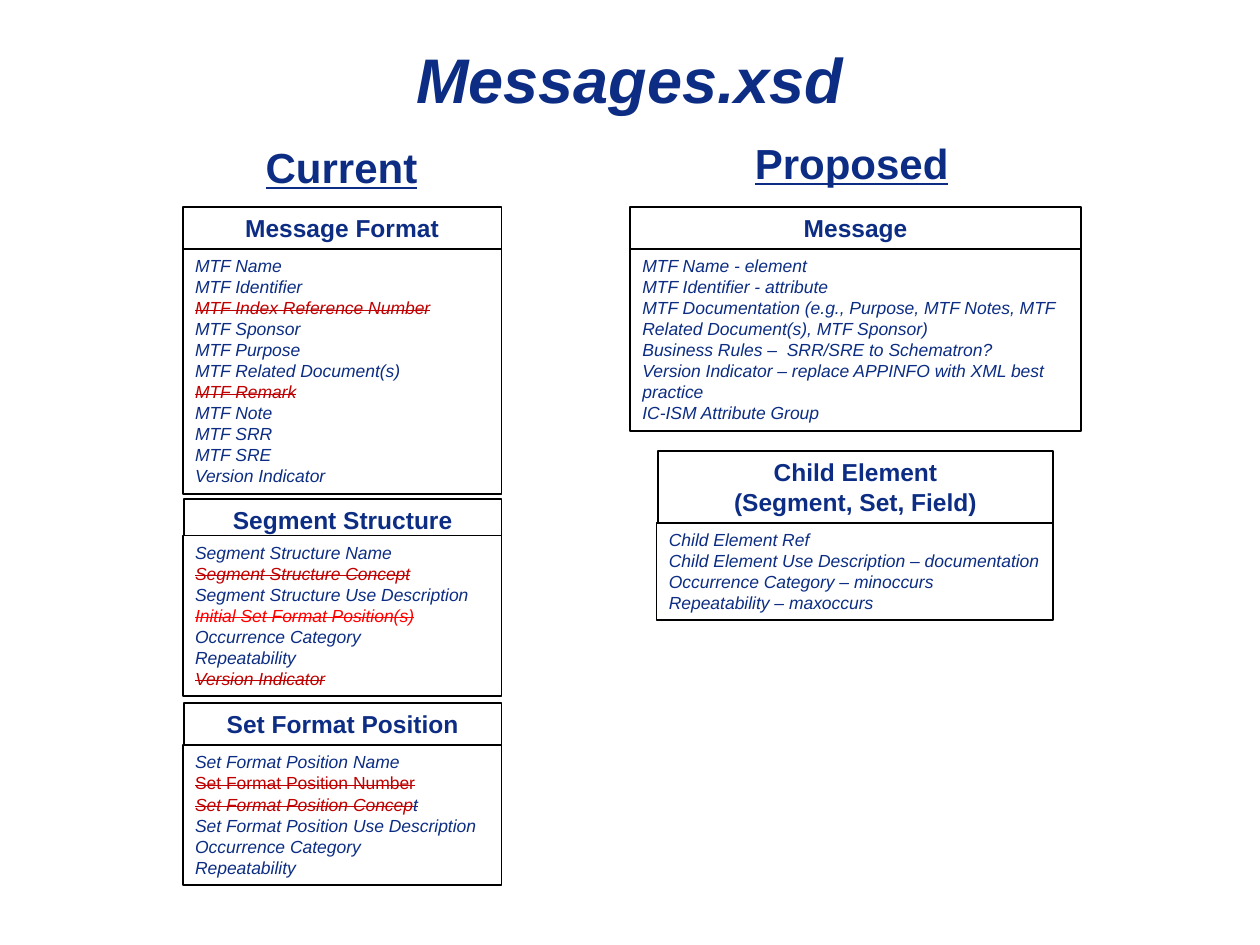
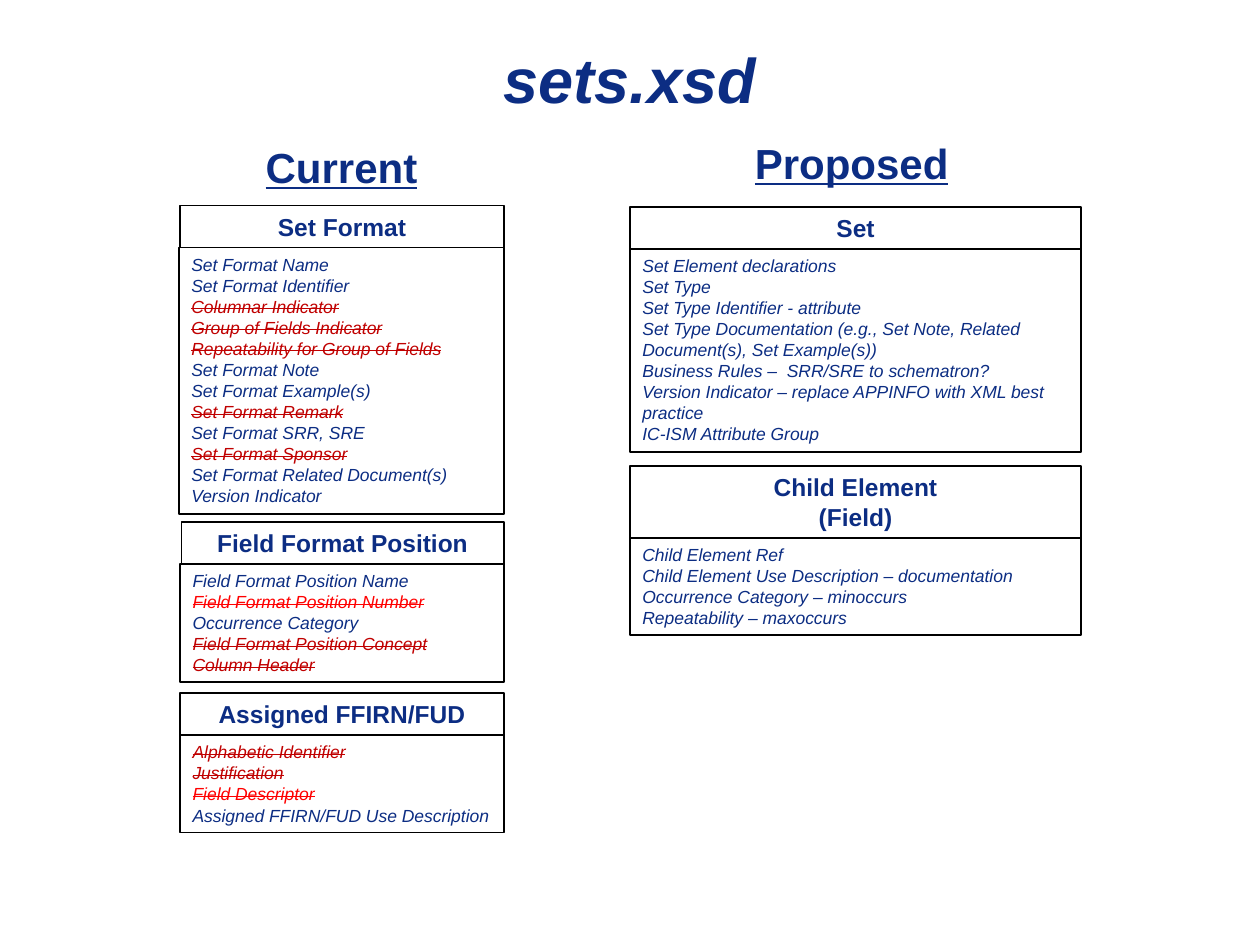
"""Build two slides that set current schema structures beside the proposed ones."""
from pptx import Presentation
from pptx.dml.color import RGBColor
from pptx.enum.shapes import MSO_SHAPE
from pptx.enum.text import MSO_ANCHOR, MSO_AUTO_SIZE, PP_ALIGN
from pptx.util import Inches, Pt

RECTANGLE = MSO_SHAPE.RECTANGLE
TOP, MIDDLE = MSO_ANCHOR.TOP, MSO_ANCHOR.MIDDLE
LEFT, CENTER = PP_ALIGN.LEFT, PP_ALIGN.CENTER
NO_AUTOFIT = MSO_AUTO_SIZE.NONE

NAVY = RGBColor(0x0C, 0x2D, 0x83)
DARK_RED = RGBColor(0xC0, 0x00, 0x00)
RED = RGBColor(0xFF, 0x00, 0x00)
BLACK = RGBColor(0x00, 0x00, 0x00)


def text_style(size, color=NAVY, strike=False, **font):
    """Return the format values of a text style."""
    return {"strike": strike, "color": color,
            "font": {"name": "Arial", "size": Pt(size), **font}}


THEME = {
    "title": text_style(36, bold=True, italic=True),
    "column": text_style(24, bold=True, underline=True),
    "header": text_style(14, bold=True),
    "keep": text_style(10, italic=True),
    "drop": text_style(10, DARK_RED, True, italic=True),
    "drop_bright": text_style(10, RED, True, italic=True),
    "drop_upright": text_style(10, DARK_RED, True, italic=False),
    "drop_navy": text_style(10, NAVY, True, italic=True),
}
TITLE_BOX = (0.5, 0.07, 9, 1.1)
COLUMN_HEADINGS = [("Current", (0.5, 0.97, 4.42, 0.7)),
                   ("Proposed", (4.55, 0.94, 4.42, 0.7))]
PADDING = 0.1
HEADER_LINE, BODY_LINE = 0.235, 0.168

CHILD_ITEMS = ["Child Element Ref",
               "Child Element Use Description – documentation",
               "Occurrence Category – minoccurs",
               "Repeatability – maxoccurs"]
SHARED_ITEMS = ["Version Indicator – replace APPINFO with XML best practice",
                "IC-ISM Attribute Group"]

SLIDES = [
    {"title": "Messages.xsd", "cards": [
        {"header": ["Message Format"], "place": (1.45, 1.64, 2.53), "items": [
            "MTF Name",
            "MTF Identifier",
            ("MTF Index Reference Number", "drop"),
            "MTF Sponsor",
            "MTF Purpose",
            "MTF Related Document(s)",
            ("MTF Remark", "drop"),
            "MTF Note",
            "MTF SRR",
            "MTF SRE",
            "Version Indicator"]},
        {"header": ["Segment Structure"], "place": (1.45, 3.96, 2.53),
         "inset": 0.01, "header_height": 0.29, "items": [
             "Segment Structure Name",
             ("Segment Structure Concept", "drop"),
             "Segment Structure Use Description",
             ("Initial Set Format Position(s)", "drop_bright"),
             "Occurrence Category",
             "Repeatability",
             ("Version Indicator", "drop")]},
        {"header": ["Set Format Position"], "place": (1.45, 5.58, 2.53),
         "inset": 0.01, "items": [
             "Set Format Position Name",
             ("Set Format Position Number", "drop_upright"),
             [("Set Format Position Concep", "drop"), ("t", "drop_navy")],
             "Set Format Position Use Description",
             "Occurrence Category",
             "Repeatability"]},
        {"header": ["Message"], "place": (5, 1.64, 3.58), "wraps": 2, "items": [
            "MTF Name - element",
            "MTF Identifier - attribute",
            "MTF Documentation (e.g., Purpose, MTF Notes, MTF Related "
            "Document(s), MTF Sponsor)",
            "Business Rules –  SRR/SRE to Schematron?",
            *SHARED_ITEMS]},
        {"header": ["Child Element", "(Segment, Set, Field)"],
         "place": (5.21, 3.58, 3.15), "inset": 0.01, "items": CHILD_ITEMS},
    ]},
    {"title": "sets.xsd", "cards": [
        {"header": ["Set Format"], "place": (1.42, 1.63, 2.58),
         "inset": 0.01, "items": [
             "Set Format Name",
             "Set Format Identifier",
             ("Columnar Indicator", "drop"),
             ("Group of Fields Indicator", "drop"),
             ("Repeatability for Group of Fields", "drop"),
             "Set Format Note",
             "Set Format Example(s)",
             ("Set Format Remark", "drop"),
             "Set Format SRR, SRE",
             ("Set Format Sponsor", "drop"),
             "Set Format Related Document(s)",
             "Version Indicator"]},
        {"header": ["Field Format Position"], "place": (1.43, 4.14, 2.57),
         "inset": 0.01, "items": [
             "Field Format Position Name",
             ("Field Format Position Number", "drop_bright"),
             "Occurrence Category",
             ("Field Format Position Concept", "drop"),
             ("Column Header", "drop")]},
        {"header": ["Assigned FFIRN/FUD"], "place": (1.43, 5.5, 2.57), "items": [
            ("Alphabetic Identifier", "drop"),
            ("Justification", "drop"),
            ("Field Descriptor", "drop_bright"),
            "Assigned FFIRN/FUD Use Description"]},
        {"header": ["Set"], "place": (5, 1.64, 3.58), "wraps": 2, "items": [
            "Set Element declarations",
            "Set Type",
            "Set Type Identifier - attribute",
            "Set Type Documentation (e.g., Set Note, Related Document(s), "
            "Set Example(s))",
            "Business Rules –  SRR/SRE to schematron?",
            *SHARED_ITEMS]},
        {"header": ["Child Element", "(Field)"], "place": (5, 3.7, 3.58),
         "items": CHILD_ITEMS},
    ]},
]


def as_runs(line, default_style):
    """Turn a line of content into a list of text and style pairs."""
    if isinstance(line, str):
        return [(line, default_style)]
    return [line] if isinstance(line, tuple) else line


def write_text(shape, lines, default_style, alignment, anchor):
    """Fill a shape with one paragraph per line."""
    frame = shape.text_frame
    frame_format = {
        "word_wrap": True, "auto_size": NO_AUTOFIT, "vertical_anchor": anchor,
        "margin_left": Inches(0.1), "margin_right": Inches(0.1),
        "margin_top": Inches(0.05), "margin_bottom": Inches(0.05)}
    for name, value in frame_format.items():
        setattr(frame, name, value)
    for index, line in enumerate(lines):
        paragraph = frame.add_paragraph() if index else frame.paragraphs[0]
        paragraph.alignment = alignment
        for text, style_name in as_runs(line, default_style):
            style = THEME[style_name]
            run = paragraph.add_run()
            run.text = text
            for name, value in style["font"].items():
                setattr(run.font, name, value)
            run.font.color.rgb = style["color"]
            if style["strike"]:
                run.font._element.set("strike", "sngStrike")


def add_box(slide, box):
    """Add an unfilled rectangle with a thin black outline."""
    shape = slide.shapes.add_shape(RECTANGLE, *map(Inches, box))
    shape.shadow.inherit = False
    shape.fill.background()
    shape.line.color.rgb = BLACK
    shape.line.width = Pt(1)
    return shape


def add_card(slide, card):
    """Add a header box and the list box that hangs below it."""
    left, top, width = card["place"]
    inset = card.get("inset", 0)
    header_height = card.get(
        "header_height", PADDING + HEADER_LINE * len(card["header"]))
    line_count = len(card["items"]) + card.get("wraps", 0)
    body_height = PADDING + BODY_LINE * line_count
    header = add_box(slide, (left + inset, top, width - inset, header_height))
    write_text(header, card["header"], "header", CENTER, TOP)
    body = add_box(slide, (left, top + header_height, width, body_height))
    write_text(body, card["items"], "keep", LEFT, TOP)


def add_title(slide, text):
    """Place and fill the title placeholder."""
    title = slide.shapes.title
    names = ("left", "top", "width", "height")
    for name, value in zip(names, TITLE_BOX):
        setattr(title, name, Inches(value))
    write_text(title, [text], "title", CENTER, MIDDLE)


def add_column_headings(slide):
    """Add the underlined headings of both columns."""
    for text, box in COLUMN_HEADINGS:
        heading = slide.shapes.add_textbox(*map(Inches, box))
        write_text(heading, [text], "column", CENTER, MIDDLE)


def main():
    """Build and save the presentation."""
    presentation = Presentation()
    presentation.slide_width = Inches(10)
    presentation.slide_height = Inches(7.5)
    title_only = presentation.slide_layouts[5]
    for content in SLIDES:
        slide = presentation.slides.add_slide(title_only)
        add_title(slide, content["title"])
        add_column_headings(slide)
        for card in content["cards"]:
            add_card(slide, card)
    presentation.save("out.pptx")


main()
